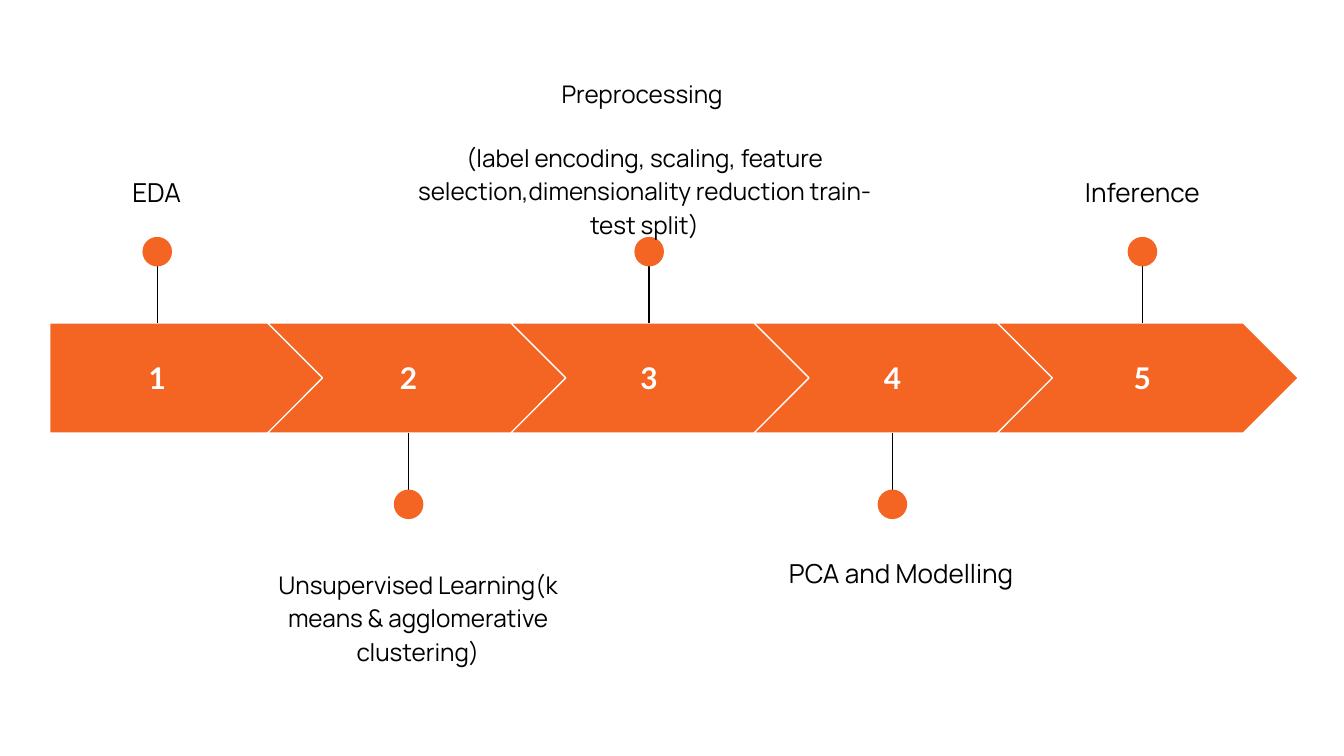
import pptx
import pptx.util
import pptx.dml.color
import pptx.enum.shapes
import pptx.enum.text
import lxml.etree

Inches, Pt = pptx.util.Inches, pptx.util.Pt
SHAPE = pptx.enum.shapes.MSO_SHAPE
ANCHOR = pptx.enum.text.MSO_ANCHOR

COLORS = {"accent": "F46524", "ink": "000000", "paper": "FFFFFF"}

# Steps: pin centre, label paragraphs, label size, label box (left, top, width, height)
STEPS = [
    (1.17, ["EDA"], 14, (0.77, 1.18, 0.79, 0.44)),
    (3.04, ["Unsupervised Learning(k means & agglomerative clustering)"], 13,
     (1.73, 4.11, 2.76, 0.99)),
    (4.83, ["Preprocessing ",
            "(label encoding, scaling, feature selection,"
            "dimensionality reduction train-test split)"], 13,
     (2.94, 0.46, 3.71, 1.87)),
    (6.64, ["PCA and Modelling "], 14, (5.5, 4.01, 2.45, 0.99)),
    (8.5, ["Inference"], 14, (7.33, 1.18, 2.34, 0.65)),
]

# Widescreen slide, 16 by 9
SLIDE_WIDTH = 10
SLIDE_HEIGHT = SLIDE_WIDTH * 9 / 16

# Band of arrows, centred on the slide, and pins mirrored about its middle
BAND_HEIGHT = 0.82
BAND_MIDDLE = SLIDE_HEIGHT / 2
BAND_TOP = BAND_MIDDLE - BAND_HEIGHT / 2
FIRST_LEFT, FIRST_WIDTH = 0.37, 2.05
CHEVRON_LEFT, CHEVRON_WIDTH, CHEVRON_PITCH = 1.99, 2.24, 1.81
NUMBER_WIDTH, NUMBER_HEIGHT = 1.44, 0.51
DOT_SIZE, DOT_REACH, PIN_REACH = 0.22, 0.94, 1.01


def color(name):
    return pptx.dml.color.RGBColor.from_string(COLORS[name])


def add_block(slide, kind, left, top, width, height, outlined):
    block = slide.shapes.add_shape(
        kind, Inches(left), Inches(top), Inches(width), Inches(height))
    block.shadow.inherit = False
    block.fill.solid()
    block.fill.fore_color.rgb = color("accent")
    if outlined:
        block.line.color.rgb = color("paper")
        block.line.width = Pt(0.75)
    else:
        block.line.fill.background()
    return block


def add_text(slide, box, lines, font, size, ink, bold=False,
             anchor=ANCHOR.TOP, spacing=1.0, gap=0):
    frame = slide.shapes.add_textbox(*map(Inches, box)).text_frame
    frame.word_wrap = True
    frame.vertical_anchor = anchor
    frame.margin_left = frame.margin_right = Inches(0.1)
    frame.margin_top = frame.margin_bottom = Inches(0.1)
    frame.text = "\n".join(lines)
    for index, paragraph in enumerate(frame.paragraphs):
        paragraph.alignment = pptx.enum.text.PP_ALIGN.CENTER
        paragraph.line_spacing = spacing
        paragraph.space_before = Pt(gap if index else 0)
        paragraph.space_after = Pt(gap if index == len(lines) - 1 else 0)
        for run in paragraph.runs:
            run.font.name = font
            run.font.size = Pt(size)
            run.font.bold = bold
            run.font.color.rgb = color(ink)


def add_pin(slide, center, side):
    """Draw a stem and dot; side is -1 above the band and 1 below it."""
    stem = slide.shapes.add_connector(
        pptx.enum.shapes.MSO_CONNECTOR.STRAIGHT,
        Inches(center), Inches(BAND_MIDDLE + side * PIN_REACH),
        Inches(center), Inches(BAND_MIDDLE + side * BAND_HEIGHT / 2))
    stem.line.color.rgb = color("ink")
    stem.line.width = Pt(0.75)
    lxml.etree.SubElement(stem._element.spPr, pptx.oxml.ns.qn("a:effectLst"))
    add_block(slide, SHAPE.OVAL, center - DOT_SIZE / 2,
              BAND_MIDDLE + side * DOT_REACH - DOT_SIZE / 2,
              DOT_SIZE, DOT_SIZE, outlined=False)


def main():
    deck = pptx.Presentation()
    deck.slide_width = Inches(SLIDE_WIDTH)
    deck.slide_height = Inches(SLIDE_HEIGHT)
    slide = deck.slides.add_slide(deck.slide_layouts[6])

    for index, (center, label, size, label_box) in enumerate(STEPS):
        # Arrow segment
        if index == 0:
            kind, left, width = SHAPE.PENTAGON, FIRST_LEFT, FIRST_WIDTH
        else:
            kind, width = SHAPE.CHEVRON, CHEVRON_WIDTH
            left = CHEVRON_LEFT + (index - 1) * CHEVRON_PITCH
        arrow = add_block(slide, kind, left, BAND_TOP, width, BAND_HEIGHT,
                          outlined=True)
        arrow.adjustments[0] = 0.5

        # Step number
        number_box = (center - NUMBER_WIDTH / 2, BAND_MIDDLE - NUMBER_HEIGHT / 2,
                      NUMBER_WIDTH, NUMBER_HEIGHT)
        add_text(slide, number_box, [str(index + 1)], "Lato", 16, "paper",
                 bold=True, anchor=ANCHOR.MIDDLE)

        # Pin and label, alternating above and below
        add_pin(slide, center, 1 if index % 2 else -1)
        add_text(slide, label_box, label, "Manrope", size, "ink",
                 spacing=1.15, gap=16)

    deck.save("out.pptx")


if __name__ == "__main__":
    main()
